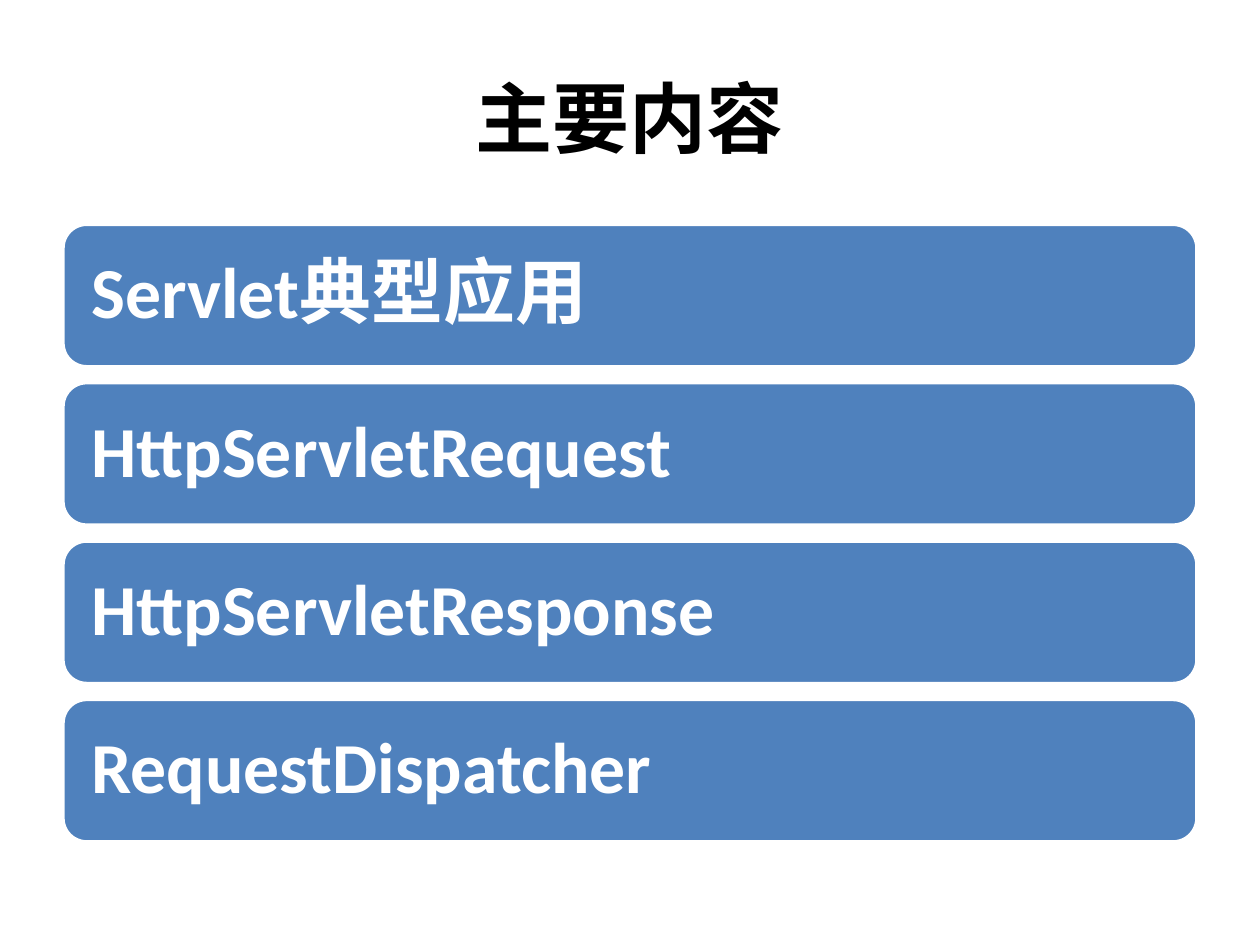
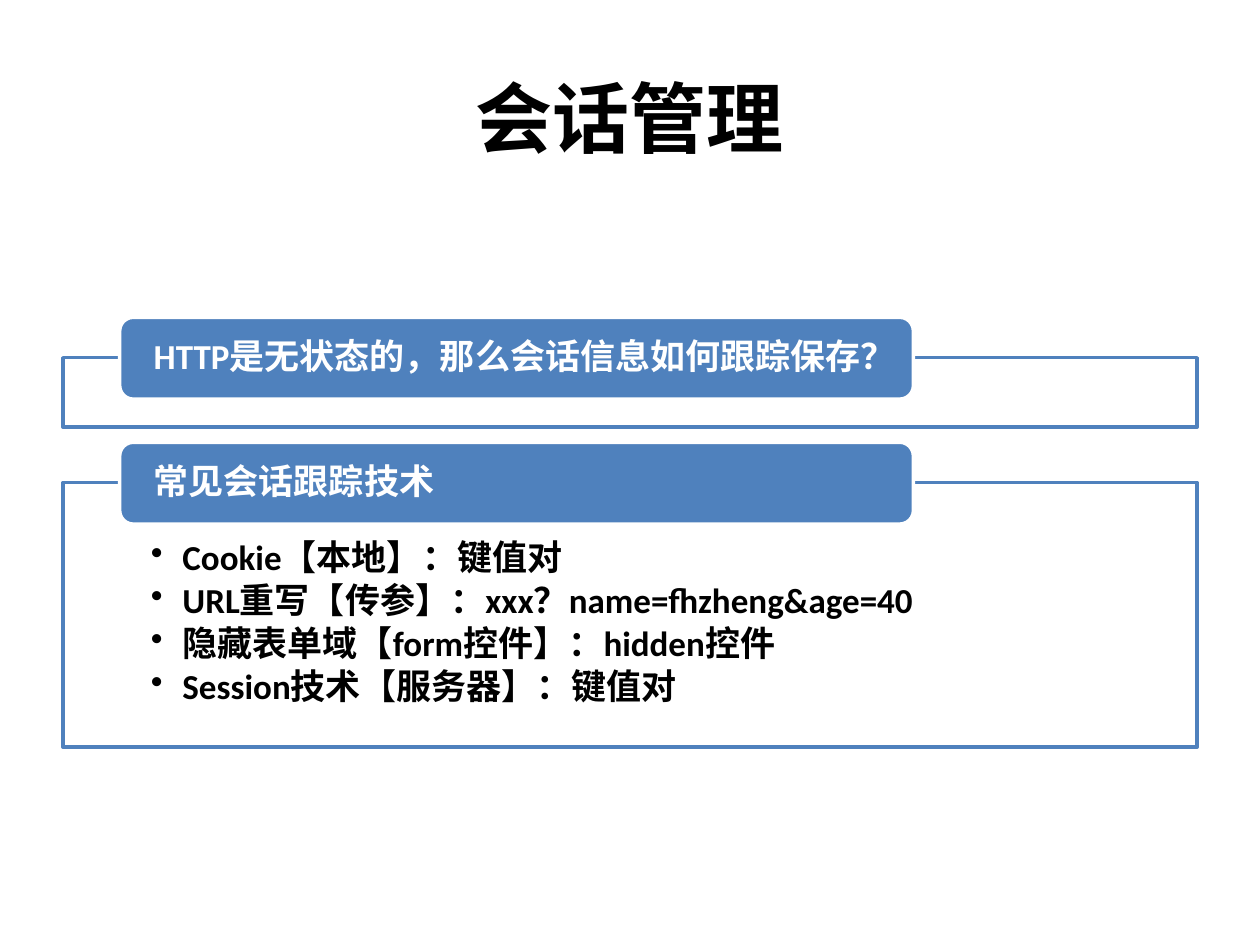
from lxml import etree
from pptx import Presentation
from pptx.dml.color import RGBColor
from pptx.enum.lang import MSO_LANGUAGE_ID as Language
from pptx.enum.shapes import MSO_SHAPE as Shape
from pptx.enum.text import MSO_ANCHOR as Anchor, PP_ALIGN as Align
from pptx.oxml.ns import qn
from pptx.util import Pt

FONT = "Calibri"
BLUE, WHITE, BLACK = "4F81BD", "FFFFFF", "000000"
LEFT, WIDTH = 36, 648
BAR_TOP, BAR_HEIGHT, BAR_PITCH = 128.2, 81.4, 90.5
HEADER_LEFT, HEADER_WIDTH, HEADER_HEIGHT = 68.4, 453.6, 46.8
HEADER_RISE = 23.1
FRAME_TOP, FRAME_GAP = 204.4, 31.7

TOPICS = ["Servlet典型应用", "HttpServletRequest",
          "HttpServletResponse", "RequestDispatcher"]
# Header, frame height, bulleted lines
PANELS = [
    ("HTTP是无状态的，那么会话信息如何跟踪保存？", 39.7, []),
    ("常见会话跟踪技术", 151.2, [
        "Cookie【本地】：键值对",
        "URL重写【传参】：xxx？name=fhzheng&age=40",
        "隐藏表单域【form控件】：hidden控件",
        "Session技术【服务器】：键值对",
    ]),
]


def color(hex_code):
    return RGBColor.from_string(hex_code)


def add_bullet(para, indent):
    properties = para._p.get_or_add_pPr()
    properties.set("marL", str(Pt(indent)))
    properties.set("indent", str(-Pt(indent)))
    etree.SubElement(properties, qn("a:buChar")).set("char", "•")


def write(box, lines, *, size, ink, align=Align.LEFT, anchor=Anchor.MIDDLE,
          insets=(7.2, 3.6, 7.2, 3.6), line_spacing=0.9, after=0, bullets=False):
    """Fill a shape with bold paragraphs; insets run left, top, right, bottom."""
    frame = box.text_frame
    frame.word_wrap = True
    frame.vertical_anchor = anchor
    (frame.margin_left, frame.margin_top,
     frame.margin_right, frame.margin_bottom) = map(Pt, insets)
    for index, line in enumerate(lines):
        para = frame.add_paragraph() if index else frame.paragraphs[0]
        para.alignment = align
        para.line_spacing = line_spacing
        para.space_after = Pt(after)
        if bullets:
            add_bullet(para, 18)
        span = para.add_run()
        span.text = line
        font = span.font
        font.name, font.size, font.bold = FONT, Pt(size), True
        font.color.rgb = color(ink)
        font.language_id = Language.SIMPLIFIED_CHINESE


def add_block(page, kind, left, top, width, height, fill, line):
    block = page.shapes.add_shape(kind, Pt(left), Pt(top), Pt(width), Pt(height))
    block.shadow.inherit = False
    block.fill.solid()
    block.fill.fore_color.rgb = color(fill)
    block.line.color.rgb = color(line)
    block.line.width = Pt(2)
    return block


def add_page(deck, title):
    page = deck.slides.add_slide(deck.slide_layouts[6])
    box = page.shapes.add_textbox(Pt(LEFT), Pt(21.6), Pt(WIDTH), Pt(90))
    write(box, [title], size=44, ink=BLACK, align=Align.CENTER, line_spacing=1.0)
    return page


def add_topic_bars(page, topics):
    for index, topic in enumerate(topics):
        bar = add_block(page, Shape.ROUNDED_RECTANGLE, LEFT,
                        BAR_TOP + index * BAR_PITCH, WIDTH, BAR_HEIGHT, BLUE, WHITE)
        write(bar, [topic], size=41, ink=WHITE, insets=(12.3,) * 4)


def add_panel(page, top, height, header, lines):
    """Draw an outlined frame with a header tab over its top edge."""
    frame = add_block(page, Shape.RECTANGLE, LEFT, top, WIDTH, height, WHITE, BLUE)
    if lines:
        write(frame, lines, size=20, ink=BLACK, anchor=Anchor.TOP,
              insets=(50.3, 33.1, 50.3, 11.5), after=3, bullets=True)
    tab = add_block(page, Shape.ROUNDED_RECTANGLE, HEADER_LEFT, top - HEADER_RISE,
                    HEADER_WIDTH, HEADER_HEIGHT, BLUE, WHITE)
    write(tab, [header], size=20, ink=WHITE, insets=(17.2, 0, 8, 0))


def main():
    deck = Presentation()
    deck.slide_width, deck.slide_height = Pt(720), Pt(540)

    add_topic_bars(add_page(deck, "主要内容"), TOPICS)

    session_page = add_page(deck, "会话管理")
    top = FRAME_TOP
    for header, height, lines in PANELS:
        add_panel(session_page, top, height, header, lines)
        top += height + FRAME_GAP

    deck.save("out.pptx")


if __name__ == "__main__":
    main()
